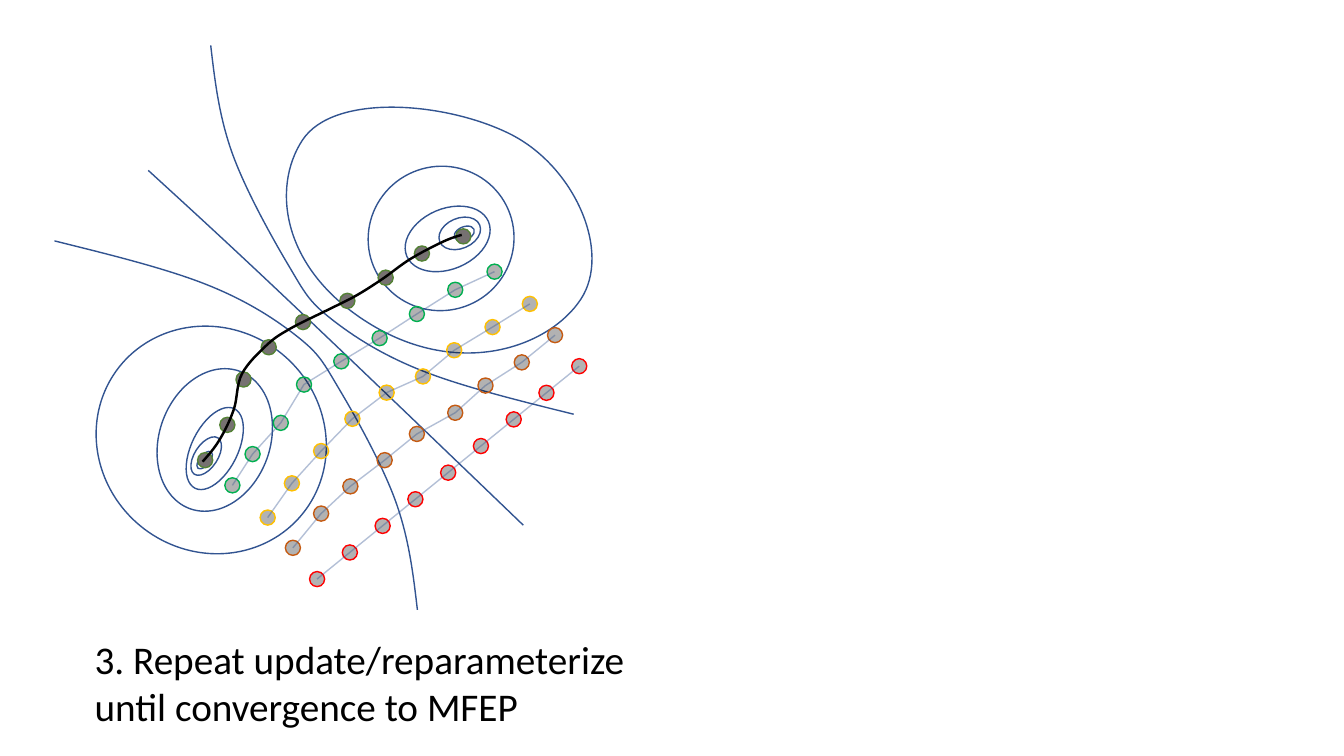
from pptx import Presentation
from pptx.dml.color import RGBColor
from pptx.enum.shapes import MSO_SHAPE
from pptx.enum.text import MSO_AUTO_SIZE
from pptx.oxml.ns import qn
from pptx.util import Inches, Pt
from lxml.etree import SubElement

BLUE, BLACK = "325491", "000000"
RED, ORANGE, YELLOW, GREEN = "FF0000", "C55A11", "FFC000", "00B050"
DOT = 0.15


def style(shape, line, fill=None, width=1, line_alpha=100, fill_alpha=100):
    """Set line and fill; alpha is the opacity in percent."""
    shape.shadow.inherit = False
    shape.line.width = Pt(width)
    shape.fill.background()
    for part, color, alpha, query in (
        (shape.line.fill, line, line_alpha, "a:ln/a:solidFill/a:srgbClr"),
        (shape.fill, fill, fill_alpha, "a:solidFill/a:srgbClr"),
    ):
        if color:
            part.solid()
            part.fore_color.rgb = RGBColor.from_string(color)
            if alpha < 100:
                SubElement(shape._element.spPr.xpath(query)[0], qn("a:alpha"), val=str(alpha * 1000))


def smooth_curve(knots, handles=None):
    """Draw a Bezier curve through the knots, as complex numbers x + yj.

    A handle reaches from a knot to its next control point, and back to the one before.
    Given handles close the curve. Otherwise a handle is a sixth of the way between
    the knot's neighbours, and an end knot's handle goes halfway to the next control point.
    """
    knots = [complex(*k) for k in knots]
    closed = handles is not None
    if closed:
        handles = [complex(*h) for h in handles]
        knots, handles = knots + knots[:1], handles + handles[:1]
    else:
        inner = [(after - before) / 6 for before, after in zip(knots, knots[2:])]
        first = (knots[1] - inner[0] - knots[0]) / 2
        last = (knots[-1] - knots[-2] - inner[-1]) / 2
        handles = [first, *inner, last]

    points = []
    for k0, k1, h0, h1 in zip(knots, knots[1:], handles, handles[1:]):
        points += [k0 + h0, k1 - h1, k1]
    start, *rest = [(Inches(z.real), Inches(z.imag)) for z in knots[:1] + points]
    builder = s.shapes.build_freeform(*start)
    builder.add_line_segments(rest, close=closed)
    shape = builder.convert_to_shape()

    # Each three straight segments become one cubic segment
    lines = list(shape._element.iter(qn("a:lnTo")))
    for i in range(0, len(lines), 3):
        outline = lines[i].getparent()
        cubic = outline.makeelement(qn("a:cubicBezTo"))
        lines[i].addprevious(cubic)
        for segment in lines[i:i + 3]:
            cubic.append(segment[0])
            outline.remove(segment)
    return shape


prs = Presentation()
prs.slide_width, prs.slide_height = Inches(13.33), Inches(7.5)
s = prs.slides.add_slide(prs.slide_layouts[6])

# Contours around the two minima: left, top, width, height, rotation
lower_basin = [
    (1.9, 4.01, 0.46, 0.88, 26.3),
    (1.93, 4.31, 0.23, 0.43, 33),
    (1.98, 4.46, 0.1, 0.21, 39),
    (1.58, 3.64, 1.1, 1.45, 19.7),
    (0.93, 3.26, 2.33, 2.21, 39),
]
upper_basin = [
    (4.14, 1.93, 0.6, 0.88, 246.9),
    (4.41, 2.1, 0.3, 0.43, 246.9),
    (4.54, 2.21, 0.13, 0.21, 246.9),
    (3.66, 1.64, 1.43, 1.45, 246.9),
]
for shapes, basin in ((s.shapes, lower_basin), (s.shapes.add_group_shape().shapes, upper_basin)):
    for *box, angle in basin:
        contour = shapes.add_shape(MSO_SHAPE.OVAL, *map(Inches, box))
        contour.rotation = angle
        style(contour, BLUE)

# Outer contour of the upper basin
outer_knots = [(3.68, 3.22), (3, 1.39), (5.06, 1.33), (5.76, 2.97)]
outer_handles = [(-0.89, -0.54), (0.31, -0.47), (0.64, 0.32), (-0.31, 0.47)]
style(smooth_curve(outer_knots, outer_handles), BLUE)

# Contours at the saddle: the upper one is the lower one turned by half a circle
ridge = [(1.47, 1.69), (2.86, 2.98), (5.19, 5.21)]
lower_saddle = [(0.54, 2.39), (2.04, 2.82), (2.95, 3.34), (3.37, 3.87), (3.93, 4.99), (4.14, 6.05)]
upper_saddle = [(6.23 - x, 6.5 - y) for x, y in lower_saddle]
for knots in (ridge, lower_saddle, upper_saddle):
    style(smooth_curve(knots), BLUE)

# Strings of nine dots by their top-left corners; the initial one is evenly spaced
initial = [(3.07 + 0.325 * i, 5.67 - 0.264 * i) for i in range(9)]
update_1 = [(2.83, 5.36), (3.11, 5.02), (3.4, 4.75), (3.74, 4.49), (4.06, 4.23),
            (4.44, 4.02), (4.74, 3.75), (5.1, 3.52), (5.43, 3.25)]
update_2 = [(2.58, 5.06), (2.82, 4.72), (3.11, 4.4), (3.42, 4.08), (3.76, 3.82),
            (4.12, 3.66), (4.43, 3.4), (4.81, 3.17), (5.18, 2.94)]
update_3 = [(2.23, 4.74), (2.43, 4.43), (2.71, 4.12), (2.94, 3.74), (3.31, 3.51),
            (3.69, 3.28), (4.06, 3.04), (4.44, 2.8), (4.83, 2.62)]
converged = [(1.96, 4.49), (2.18, 4.14), (2.34, 3.69), (2.59, 3.37), (2.93, 3.12),
             (3.37, 2.91), (3.75, 2.68), (4.11, 2.44), (4.52, 2.27)]
moving_strings = [(initial, RED), (update_1, ORANGE), (update_2, YELLOW), (update_3, GREEN)]
dot_looks = [(converged, dict(line="548235", fill="767171"))]
dot_looks += [(dots, dict(line=color, fill=BLACK, fill_alpha=30)) for dots, color in moving_strings]
for dots, look in dot_looks:
    group = s.shapes.add_group_shape()
    for x, y in dots:
        dot = group.shapes.add_shape(MSO_SHAPE.OVAL, *map(Inches, (x, y, DOT, DOT)))
        style(dot, **look)

# Straight links through the dot centres
for dots, _ in moving_strings:
    start, *rest = [(Inches(x + DOT / 2), Inches(y + DOT / 2)) for x, y in dots]
    builder = s.shapes.build_freeform(*start)
    builder.add_line_segments(rest, close=False)
    style(builder.convert_to_shape(), BLUE, line_alpha=36)

# Minimum free energy path
energy_path = [(2.01, 4.58), (2.18, 4.36), (2.32, 4.06), (2.4, 3.71), (2.65, 3.42), (2.88, 3.26),
               (3.24, 3.08), (3.52, 2.94), (3.79, 2.77), (4.07, 2.57), (4.39, 2.4), (4.58, 2.33)]
style(smooth_curve(energy_path), BLACK, width=1.75)

# Caption
tb = s.shapes.add_textbox(*map(Inches, (0.84, 6.25, 5.72, 1.04)))
tf = tb.text_frame
tf.word_wrap = True
tf.auto_size = MSO_AUTO_SIZE.SHAPE_TO_FIT_TEXT
r = tf.paragraphs[0].add_run()
r.text = "3. Repeat update/reparameterize until convergence to MFEP"
r.font.name, r.font.size = "Calibri", Pt(28)
r.font.color.rgb = RGBColor.from_string(BLACK)

prs.save("out.pptx")
